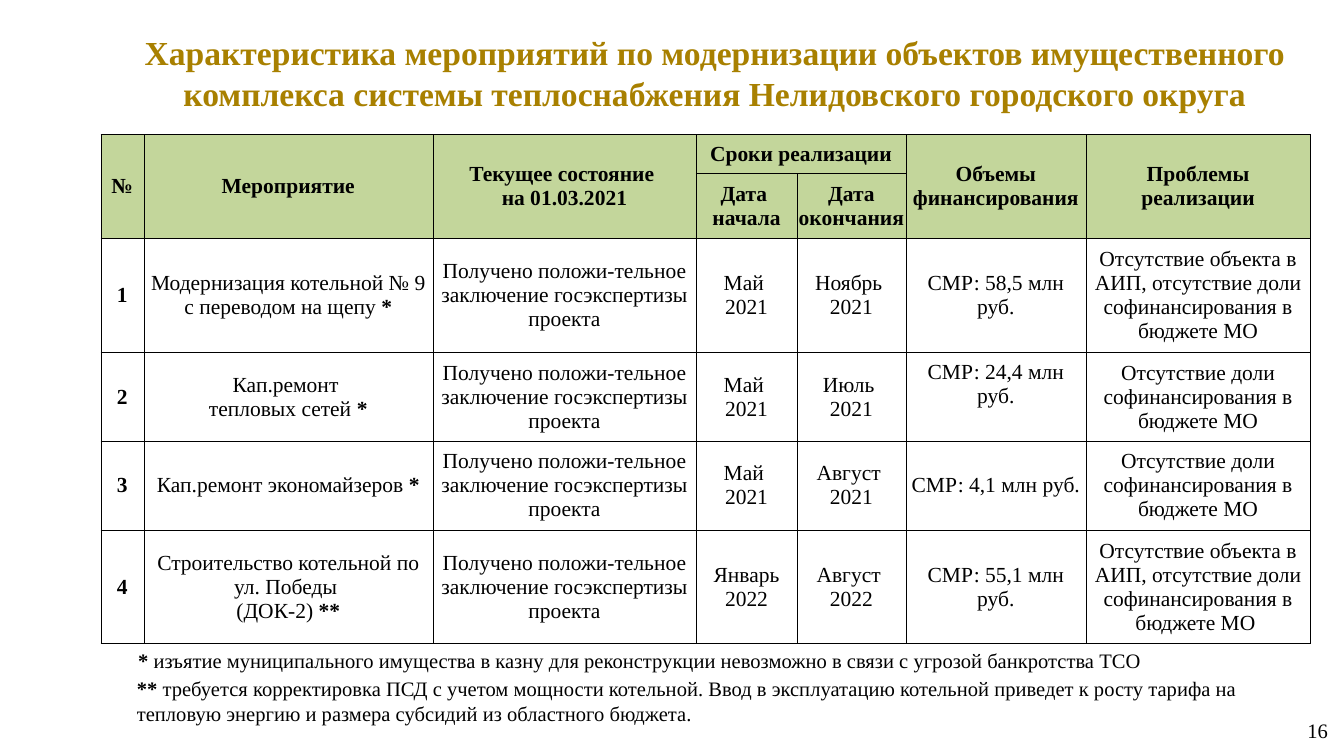
"""Build a slide with a table of heating modernisation measures."""
from itertools import groupby

from lxml.etree import SubElement
from pptx import Presentation
from pptx.dml.color import RGBColor
from pptx.enum.text import MSO_ANCHOR, PP_ALIGN
from pptx.oxml.ns import qn
from pptx.util import Inches, Pt

FONT = "Times New Roman"
BLACK = RGBColor(0x00, 0x00, 0x00)
WHITE = RGBColor(0xFF, 0xFF, 0xFF)
GOLD = RGBColor(0xA8, 0x80, 0x00)
GREEN = RGBColor(0xC3, 0xD6, 0x9B)

TITLE = ("Характеристика мероприятий по модернизации объектов имущественного "
         "комплекса системы теплоснабжения Нелидовского городского округа")
STATE = "Получено положи-тельное заключение госэкспертизы проекта"
SHARE = "Отсутствие доли софинансирования в бюджете МО"
OBJECT = "Отсутствие объекта в АИП, отсутствие доли софинансирования в бюджете МО"
NOTES = [
    (0.93, 4.77, 0.29, "* изъятие муниципального имущества в казну для реконструкции "
     "невозможно в связи с угрозой банкротства ТСО"),
    (0.92, 4.98, 0.47, "** требуется корректировка ПСД с учетом мощности котельной. "
     "Ввод в эксплуатацию котельной приведет к росту тарифа на тепловую энергию "
     "и размера субсидий из областного бюджета."),
]

COLS = [0.32, 2.15, 1.96, 0.75, 0.81, 1.34, 1.67]
ROWS = [0.29, 0.48, 0.84, 0.66, 0.66, 0.84]
HEAD = [
    ["№", "Мероприятие", "Текущее состояние \nна 01.03.2021", "Сроки реализации",
     "", "Объемы финансирования", "Проблемы реализации"],
    ["", "", "", "Дата \nначала", "Дата окончания", "", ""],
]
BODY = [
    ["1", "Модернизация котельной № 9 с переводом на щепу *", STATE,
     "Май \n2021", "Ноябрь \n2021", "СМР: 58,5 млн руб.", OBJECT],
    ["2", "Кап.ремонт \nтепловых сетей *", STATE,
     "Май \n2021", "Июль \n2021", "СМР: 24,4 млн руб.", SHARE],
    ["3", "Кап.ремонт экономайзеров *", STATE,
     "Май \n2021", "Август \n2021", "СМР: 4,1 млн руб.", SHARE],
    ["4", "Строительство котельной по\nул. Победы \n(ДОК-2) **", STATE,
     "Январь\n2022", "Август \n2022", "СМР: 55,1 млн руб.", OBJECT + " "],
]


def write(frame, text, size, color=BLACK, bold=False, align=PP_ALIGN.LEFT):
    """Fill a text frame line by line, with asterisks always bold."""
    for i, line in enumerate(text.split("\n")):
        para = frame.add_paragraph() if i else frame.paragraphs[0]
        para.alignment = align
        for star, chars in groupby(line, lambda char: char == "*"):
            run = para.add_run()
            run.text = "".join(chars)
            run.font.name = FONT
            run.font.size = Pt(size)
            run.font.bold = bold or star
            run.font.color.rgb = color


def add_text(slide, box, text, size, anchor=MSO_ANCHOR.MIDDLE, wrap=True, **style):
    """Add a text box."""
    frame = slide.shapes.add_textbox(*map(Inches, box)).text_frame
    frame.word_wrap = wrap
    frame.vertical_anchor = anchor
    write(frame, text, size, **style)


def set_edges(cell):
    """Draw thin black lines on all four sides of a cell."""
    props = cell._tc.get_or_add_tcPr()
    for side in ("lnL", "lnR", "lnT", "lnB"):
        line = SubElement(props, qn(f"a:{side}"), w=str(Pt(0.25)))
        fill = SubElement(line, qn("a:solidFill"))
        SubElement(fill, qn("a:srgbClr"), val=str(BLACK))


def set_cell(cell, text, fill, bold, side, end):
    """Style and fill one table cell."""
    set_edges(cell)
    cell.fill.solid()
    cell.fill.fore_color.rgb = fill
    cell.vertical_anchor = MSO_ANCHOR.MIDDLE
    cell.margin_left = cell.margin_right = Inches(side)
    cell.margin_top = cell.margin_bottom = Inches(end)
    if text:
        write(cell.text_frame, text, 11.5, bold=bold, align=PP_ALIGN.CENTER)


def add_grid(slide):
    """Add the table of measures."""
    frame = slide.shapes.add_table(len(ROWS), len(COLS), Inches(0.75), Inches(1),
                                   Inches(sum(COLS)), Inches(sum(ROWS)))
    table = frame.table
    for col, width in zip(table.columns, COLS):
        col.width = Inches(width)
    for row, height in zip(table.rows, ROWS):
        row.height = Inches(height)
    for r, texts in enumerate(HEAD + BODY):
        head = r < len(HEAD)
        for c, text in enumerate(texts):
            side = 0 if text == "Дата окончания" else 0.04
            set_cell(table.cell(r, c), text, GREEN if head else WHITE,
                     head or c == 0, side, 0.05 if head else 0.04)
    for c in (0, 1, 2, 5, 6):
        table.cell(0, c).merge(table.cell(1, c))
    table.cell(0, 3).merge(table.cell(0, 4))
    upper = table.cell(3, 5)
    upper.vertical_anchor = MSO_ANCHOR.TOP
    upper.margin_top = Inches(0.06)


def main():
    """Build and save the slide."""
    deck = Presentation()
    deck.slide_width = Inches(10)
    deck.slide_height = deck.slide_width * 9 // 16
    slide = deck.slides.add_slide(deck.slide_layouts[6])
    add_text(slide, (0.87, 0.12, 8.9, 0.84), TITLE, 18, color=GOLD, bold=True,
             align=PP_ALIGN.CENTER)
    add_text(slide, (9.63, 5.29, 0.36, 0.29), "16", 11, MSO_ANCHOR.TOP, wrap=False)
    add_grid(slide)
    for left, top, height, text in NOTES:
        add_text(slide, (left, top, 8.82, height), text, 11)
    deck.save("out.pptx")


if __name__ == "__main__":
    main()
